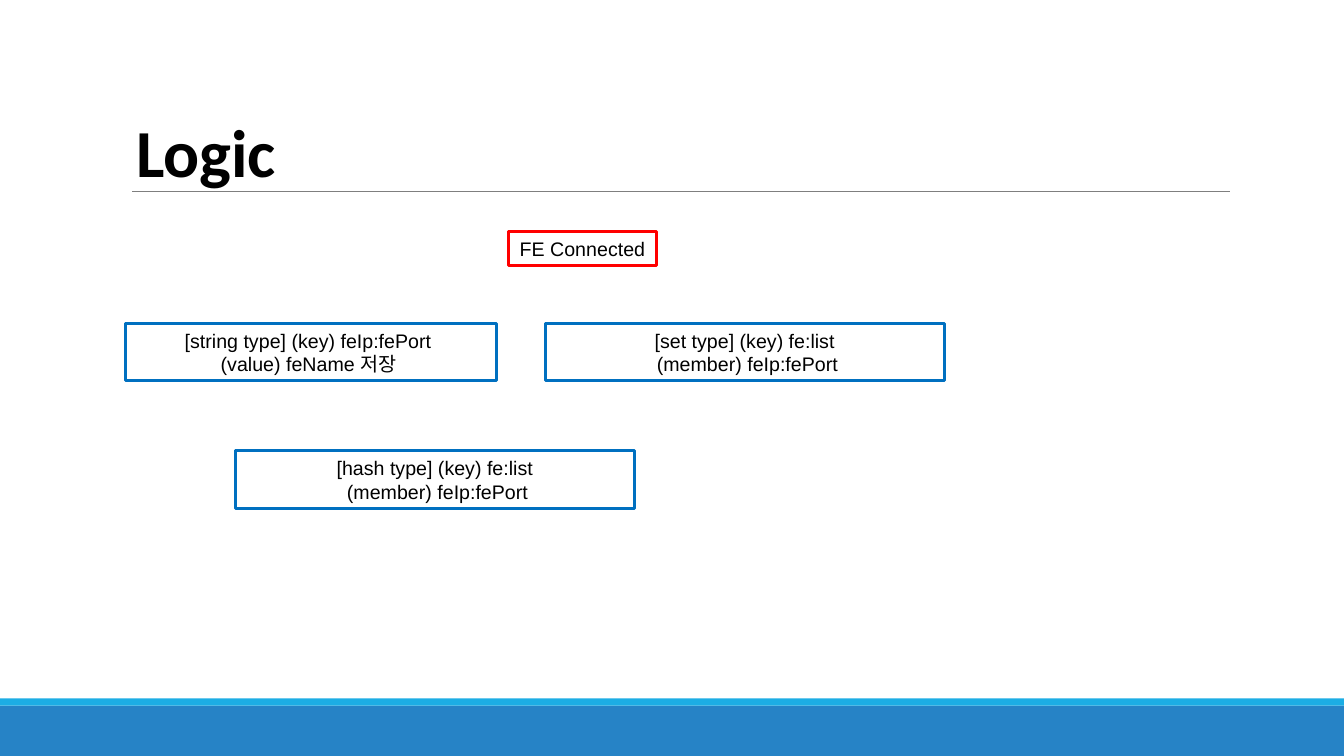
from dataclasses import dataclass

from pptx import Presentation
from pptx.dml.color import RGBColor
from pptx.enum.shapes import MSO_CONNECTOR, MSO_SHAPE
from pptx.enum.text import MSO_ANCHOR, PP_ALIGN
from pptx.oxml.ns import qn
from pptx.slide import Slide
from pptx.util import Cm, Pt
from lxml.etree import SubElement

SLIDE_WIDTH = 33.87
SLIDE_HEIGHT = 19.05
BLUE = "0070C0"
RED = "FF0000"
BLACK = "000000"
STORE_TOP = 8.15
STORE_HEIGHT = 1.45
LIST_WIDTH = 10.06


@dataclass
class Band:
    top: float
    height: float
    fill: str


@dataclass
class Box:
    left: float
    top: float
    width: float
    height: float
    outline: str
    text: str


BANDS = [Band(17.78, 1.27, "2683C6"), Band(17.6, 0.18, "1CADE4")]
BOXES = [
    Box(3.16, STORE_TOP, 9.35, STORE_HEIGHT, BLUE,
        "[string type] (key) feIp:fePort \v(value) feName 저장 "),
    Box(12.82, 5.84, 3.72, 0.86, RED, "FE Connected"),
    Box(13.74, STORE_TOP, LIST_WIDTH, STORE_HEIGHT, BLUE,
        "[set type] (key) fe:list\v (member) feIp:fePort"),
    Box(5.93, 11.36, LIST_WIDTH, STORE_HEIGHT, BLUE,
        "[hash type] (key) fe:list\v (member) feIp:fePort"),
]


def color(value: str) -> RGBColor:
    """Turn a hex string into a colour."""
    return RGBColor.from_string(value)


def format_runs(paragraph, font_name: str, size: float, bold: bool = False) -> None:
    """Give every run of the paragraph the same black font."""
    for run in paragraph.runs:
        run.font.name = font_name
        run.font.size = Pt(size)
        run.font.bold = bold
        run.font.color.rgb = color(BLACK)


def add_rectangle(slide: Slide, left: float, top: float, width: float, height: float):
    """Add a rectangle without shadow."""
    shape = slide.shapes.add_shape(
        MSO_SHAPE.RECTANGLE, Cm(left), Cm(top), Cm(width), Cm(height))
    shape.shadow.inherit = False
    return shape


def draw_band(slide: Slide, band: Band) -> None:
    """Draw a full-width footer band."""
    shape = add_rectangle(slide, 0, band.top, SLIDE_WIDTH, band.height)
    shape.fill.solid()
    shape.fill.fore_color.rgb = color(band.fill)
    shape.line.fill.background()


def draw_box(slide: Slide, box: Box) -> None:
    """Draw an outlined box with centred text."""
    shape = add_rectangle(slide, box.left, box.top, box.width, box.height)
    shape.fill.background()
    shape.line.color.rgb = color(box.outline)
    shape.line.width = Pt(2)
    frame = shape.text_frame
    frame.word_wrap = True
    frame.vertical_anchor = MSO_ANCHOR.MIDDLE
    frame.text = box.text
    paragraph = frame.paragraphs[0]
    paragraph.alignment = PP_ALIGN.CENTER
    format_runs(paragraph, "Arial", 14)


def draw_title(slide: Slide, text: str) -> None:
    """Place the title above its rule."""
    rule = slide.shapes.add_connector(
        MSO_CONNECTOR.STRAIGHT, Cm(3.33), Cm(4.82), Cm(31), Cm(4.82))
    rule.line.color.rgb = color("7F7F7F")
    rule.line.width = Pt(0.75)
    SubElement(rule._element.spPr, qn("a:effectLst"))
    title = slide.shapes.title
    title.left, title.top, title.width, title.height = Cm(3.18), Cm(2.64), Cm(23.04), Cm(2.31)
    frame = title.text_frame
    frame.vertical_anchor = MSO_ANCHOR.BOTTOM
    frame.text = text
    paragraph = frame.paragraphs[0]
    paragraph.alignment = PP_ALIGN.LEFT
    format_runs(paragraph, "Calibri", 48, bold=True)


def main() -> None:
    """Build and save the slide."""
    presentation = Presentation()
    presentation.slide_width = Cm(SLIDE_WIDTH)
    presentation.slide_height = Cm(SLIDE_HEIGHT)
    slide = presentation.slides.add_slide(presentation.slide_layouts[5])
    for band in BANDS:
        draw_band(slide, band)
    draw_title(slide, "Logic")
    for box in BOXES:
        draw_box(slide, box)
    presentation.save("out.pptx")


main()
